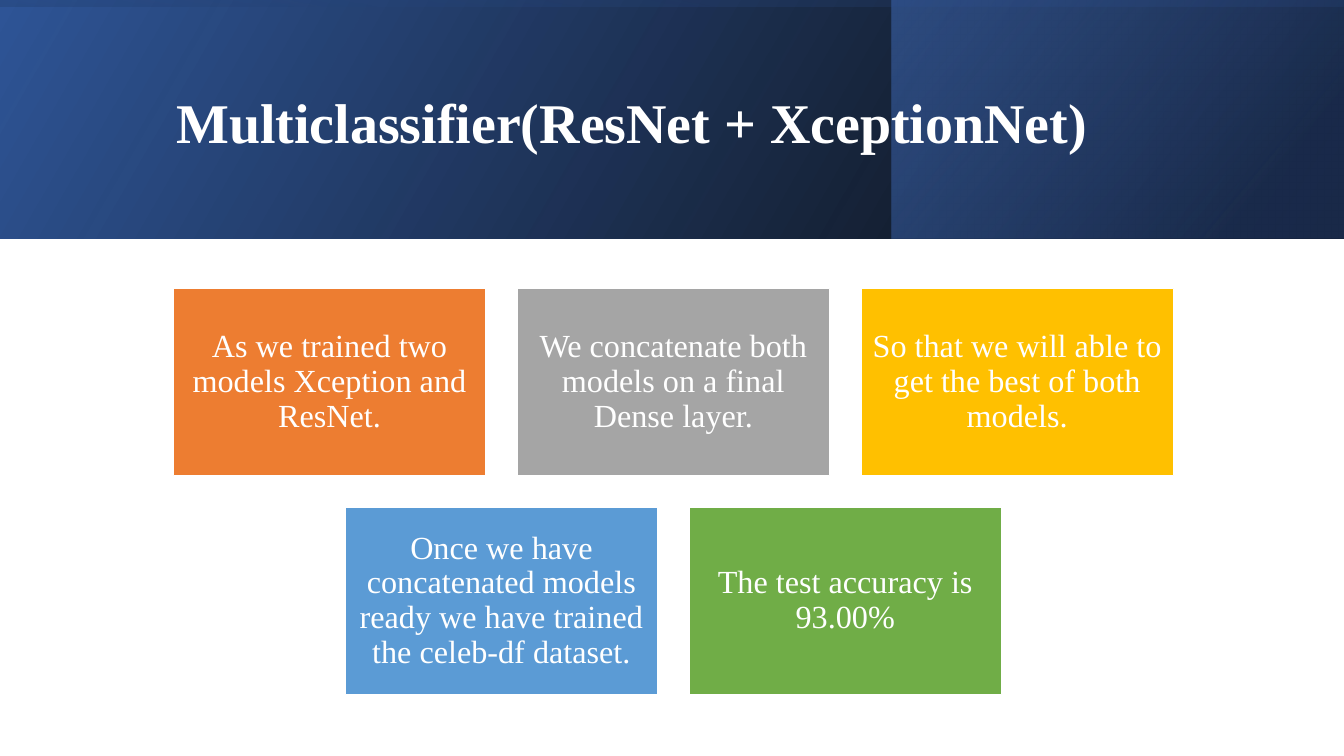
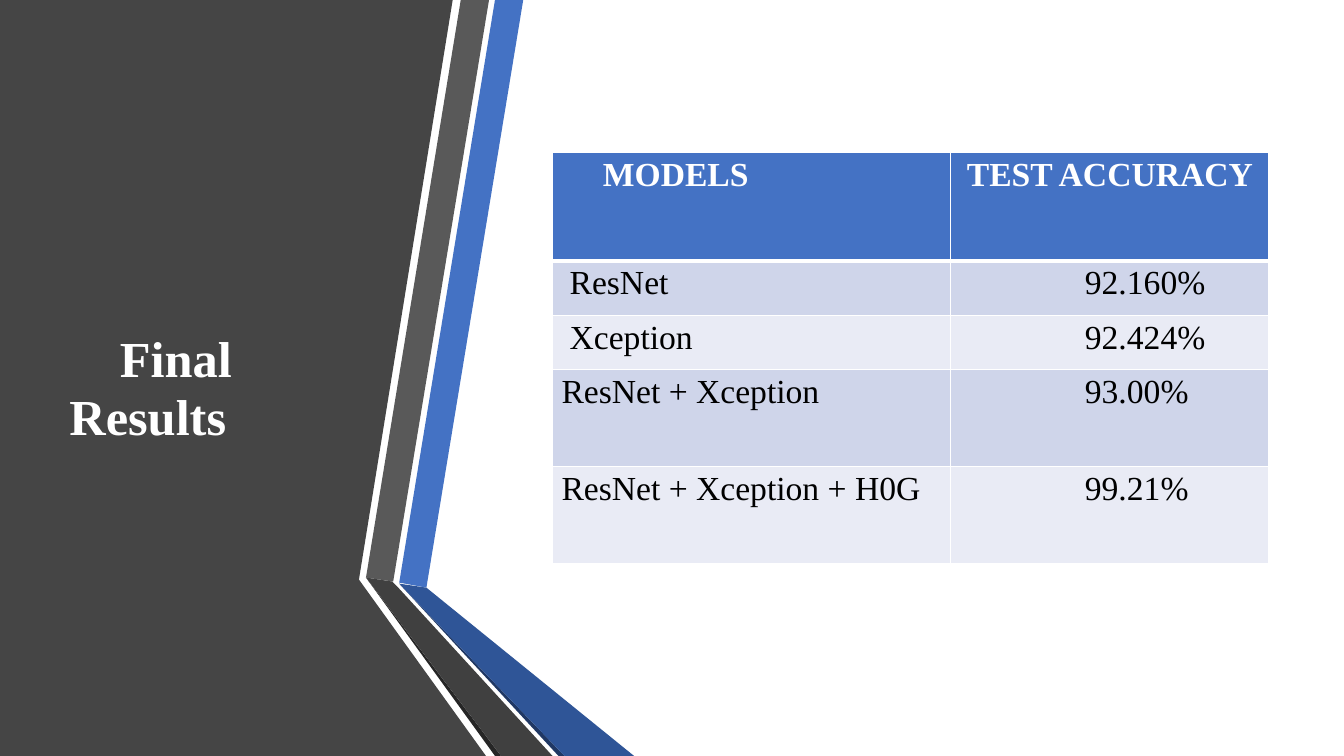
from collections import namedtuple

from lxml import etree
from pptx import Presentation
from pptx.dml.color import RGBColor
from pptx.enum.shapes import MSO_SHAPE
from pptx.enum.text import MSO_ANCHOR, PP_ALIGN
from pptx.oxml import parse_xml
from pptx.oxml.ns import nsdecls, qn
from pptx.util import Inches, Pt

Box = namedtuple("Box", "left top width height")

WHITE = RGBColor(0xFF, 0xFF, 0xFF)
BLACK = RGBColor(0x00, 0x00, 0x00)
BLUE = RGBColor(0x44, 0x72, 0xC4)
DARK_BLUE = RGBColor(0x2F, 0x55, 0x97)
NAVY = RGBColor(0x20, 0x38, 0x64)
ORANGE = RGBColor(0xED, 0x7D, 0x31)
GREY = RGBColor(0xA5, 0xA5, 0xA5)
GOLD = RGBColor(0xFF, 0xC0, 0x00)
SKY = RGBColor(0x5B, 0x9B, 0xD5)
GREEN = RGBColor(0x70, 0xAD, 0x47)
CHARCOAL = RGBColor(0x45, 0x45, 0x45)
MID_GREY = RGBColor(0x59, 0x59, 0x59)
DARK_GREY = RGBColor(0x40, 0x40, 0x40)
SOOT = RGBColor(0x26, 0x26, 0x26)
ROW_FILLS = (RGBColor(0xCF, 0xD5, 0xEA), RGBColor(0xE9, 0xEB, 0xF5))

SERIF = {"name": "Times New Roman", "bold": False}
TITLE_FONT = SERIF | {"bold": True, "size": Pt(40)}
STEP_FONT = SERIF | {"size": Pt(23)}
TABLE_FONT = SERIF | {"size": Pt(24)}

STEPS = (
    (
        ("As we trained two models Xception and ResNet.", ORANGE),
        ("We concatenate both models on a final Dense layer.", GREY),
        ("So that we will able to get the best of both models.", GOLD),
    ),
    (
        ("Once we have concatenated models ready we have trained the celeb-df dataset.", SKY),
        ("The test accuracy is 93.00%", GREEN),
    ),
)

RESULTS = (
    (("MODELS", 0.5), ("TEST ACCURACY", 0.16), 1.08),
    (("ResNet", 0.17), ("92.160%", 1.33), 0.54),
    (("Xception", 0.17), ("92.424%", 1.33), 0.54),
    (("ResNet + Xception", 0.09), ("93.00%", 1.33), 0.96),
    (("ResNet + Xception + H0G", 0.09), ("99.21%", 1.33), 0.96),
)

PANELS = (
    (CHARCOAL, ((0, 0), (4.49, 0), (3.56, 5.75), (4.82, 7.5), (0, 7.5))),
    (BLUE, ((3.96, 5.78), (4.23, 5.83), (5.19, 0), (4.91, 0))),
    (MID_GREY, ((4.85, 0), (4.57, 0), (3.63, 5.73), (3.9, 5.77))),
    (SOOT, ((3.63, 5.73), (4.91, 7.5), (4.97, 7.5))),
    (NAVY, ((3.96, 5.79), (5.54, 7.5), (5.6, 7.5))),
    (DARK_BLUE, ((3.96, 5.79), (5.6, 7.5), (6.29, 7.5), (4.23, 5.83))),
    (DARK_GREY, ((3.63, 5.73), (4.97, 7.5), (5.48, 7.5), (3.95, 5.83), (3.89, 5.77))),
)


def inches(box):
    """Convert a box of inch values to lengths."""
    return [Inches(value) for value in box]


def write_text(frame, text, font, color, paragraph_format=None):
    """Fill a text frame with one formatted paragraph."""
    paragraph = frame.paragraphs[0]
    for name, value in (paragraph_format or {}).items():
        setattr(paragraph, name, value)
    run = paragraph.add_run()
    run.text = text
    for name, value in font.items():
        setattr(run.font, name, value)
    run.font.color.rgb = color
    return paragraph


def add_title(slide, box, text, size=40, spacing=0.9, indent=0):
    """Add the white slide title, centred vertically in its box."""
    frame = slide.shapes.add_textbox(*inches(box)).text_frame
    frame.word_wrap = True
    frame.vertical_anchor = MSO_ANCHOR.MIDDLE
    font = TITLE_FONT | {"size": Pt(size)}
    paragraph = write_text(frame, text, font, WHITE, {"line_spacing": spacing})
    if indent:
        properties = paragraph._p.get_or_add_pPr()
        properties.set("marL", "0")
        properties.set("indent", str(Inches(indent)))


def add_gradient_panel(slide, box, angle, stops, rotation=0):
    """Add a mirrored rectangle with a translucent linear gradient."""
    shape = slide.shapes.add_shape(MSO_SHAPE.RECTANGLE, *inches(box))
    shape.shadow.inherit = False
    shape.line.fill.background()
    shape.rotation = rotation
    properties = shape.element.spPr
    properties.xfrm.set("flipH", "1")
    stop_xml = "".join(
        f'<a:gs pos="{position * 1000}"><a:srgbClr val="{color}">'
        f'<a:alpha val="{opacity * 1000}"/></a:srgbClr></a:gs>'
        for position, color, opacity in stops
    )
    gradient = parse_xml(
        f'<a:gradFill {nsdecls("a")} rotWithShape="1"><a:gsLst>{stop_xml}</a:gsLst>'
        f'<a:lin ang="{angle * 60000}" scaled="0"/></a:gradFill>'
    )
    properties.find(qn("a:prstGeom")).addnext(gradient)


def add_header(slide, box, text):
    """Layer the gradient band and put the title on it."""
    left, top, width, height = box
    add_gradient_panel(slide, box, 330, ((0, BLACK, 96), (100, DARK_BLUE, 100)))
    accent = Box(left + 8.84, top, width - 8.84, height)
    add_gradient_panel(slide, accent, 320, ((19, NAVY, 68), (100, BLUE, 48)))
    upright = Box(left + (width - height) / 2, top + (height - width) / 2, height, width)
    add_gradient_panel(slide, upright, 350, ((23, DARK_BLUE, 16), (99, BLACK, 45)), 270)
    add_title(slide, Box(left + 1.65, top + 0.38, 10.49, 1.72), text)


def add_step(slide, box, text, color):
    """Add one coloured step with centred text."""
    shape = slide.shapes.add_shape(MSO_SHAPE.RECTANGLE, *inches(box))
    shape.shadow.inherit = False
    shape.fill.solid()
    shape.fill.fore_color.rgb = color
    shape.line.color.rgb = WHITE
    shape.line.width = Pt(1)
    frame = shape.text_frame
    frame.word_wrap = True
    frame.vertical_anchor = MSO_ANCHOR.MIDDLE
    for side in ("left", "top", "right", "bottom"):
        setattr(frame, f"margin_{side}", Inches(0.09))
    write_text(frame, text, STEP_FONT, WHITE,
               {"alignment": PP_ALIGN.CENTER, "line_spacing": 0.9})


def add_step_rows(slide, box, rows, gap=0.31):
    """Lay out rows of equal steps, each row centred in the box."""
    columns = max(len(row) for row in rows)
    width = (box.width - gap * (columns - 1)) / columns
    height = (box.height - gap * (len(rows) - 1)) / len(rows)
    for row_index, row in enumerate(rows):
        row_width = len(row) * (width + gap) - gap
        left = box.left + (box.width - row_width) / 2
        top = box.top + row_index * (height + gap)
        for index, (text, color) in enumerate(row):
            add_step(slide, Box(left + index * (width + gap), top, width, height), text, color)


def add_folded_panels(slide, box):
    """Draw the folded side panels from the corner of the box."""
    for color, points in PANELS:
        start, *others = [
            (Inches(box.left + x), Inches(box.top + y)) for x, y in points
        ]
        builder = slide.shapes.build_freeform(*start)
        builder.add_line_segments(others, close=True)
        shape = builder.convert_to_shape()
        shape.shadow.inherit = False
        shape.fill.solid()
        shape.fill.fore_color.rgb = color
        shape.line.fill.background()


def set_borders(cell, widths):
    """Give a cell white borders of the stated point widths."""
    properties = cell._tc.get_or_add_tcPr()
    for index, (side, width) in enumerate(widths.items()):
        line = etree.Element(qn(f"a:ln{side}"), w=str(Pt(width)))
        fill = etree.SubElement(line, qn("a:solidFill"))
        etree.SubElement(fill, qn("a:srgbClr"), val=str(WHITE))
        properties.insert(index, line)


def add_results_table(slide, box, rows, column_widths):
    """Add the banded accuracy table."""
    table = slide.shapes.add_table(len(rows), len(column_widths), *inches(box)).table
    for column, width in zip(table.columns, column_widths):
        column.width = Inches(width)
    for row_index, (*entries, height) in enumerate(rows):
        header = row_index == 0
        table.rows[row_index].height = Inches(height)
        for column_index, (text, margin) in enumerate(entries):
            cell = table.cell(row_index, column_index)
            cell.fill.solid()
            cell.fill.fore_color.rgb = BLUE if header else ROW_FILLS[(row_index - 1) % 2]
            margins = {"left": margin, "top": 0.04, "right": 0.04, "bottom": 0.04}
            for side, value in margins.items():
                setattr(cell, f"margin_{side}", Inches(value))
            write_text(cell.text_frame, text, TABLE_FONT | {"bold": header},
                       WHITE if header else BLACK)
            set_borders(cell, {"L": 1, "R": 1, "T": 3 if row_index == 1 else 1,
                               "B": 3 if header else 1})


def build_multiclassifier_slide(slide, box):
    """Build the slide that explains the combined classifier."""
    add_header(slide, Box(box.left, box.top, box.width, 2.37),
               "Multiclassifier(ResNet + XceptionNet)")
    add_step_rows(slide, Box(box.left + 1.72, box.top + 2.86, 9.92, 4.03), STEPS)


def build_results_slide(slide, box):
    """Build the slide that compares test accuracies."""
    add_folded_panels(slide, box)
    add_title(slide, Box(box.left + 0.59, box.top + 1.07, 3.04, 5.58),
              "Final Results", size=36, spacing=0.96, indent=0.5)
    add_results_table(slide, Box(box.left + 5.48, box.top + 1.51, 7.1, 4.08),
                      RESULTS, (3.95, 3.15))


def main():
    """Create and save the presentation."""
    presentation = Presentation()
    page = Box(0, 0, 13.33, 7.5)
    presentation.slide_width = Inches(page.width)
    presentation.slide_height = Inches(page.height)
    for build in (build_multiclassifier_slide, build_results_slide):
        build(presentation.slides.add_slide(presentation.slide_layouts[6]), page)
    presentation.save("out.pptx")


main()
